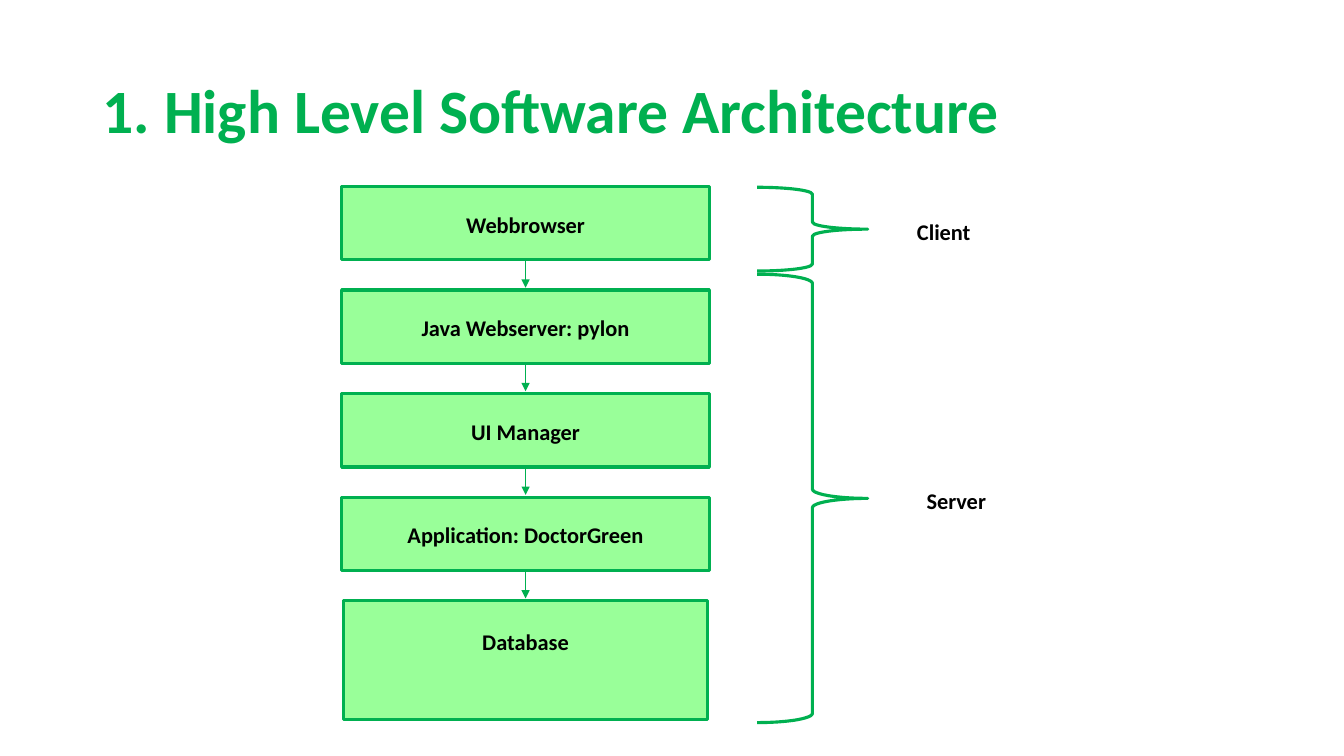
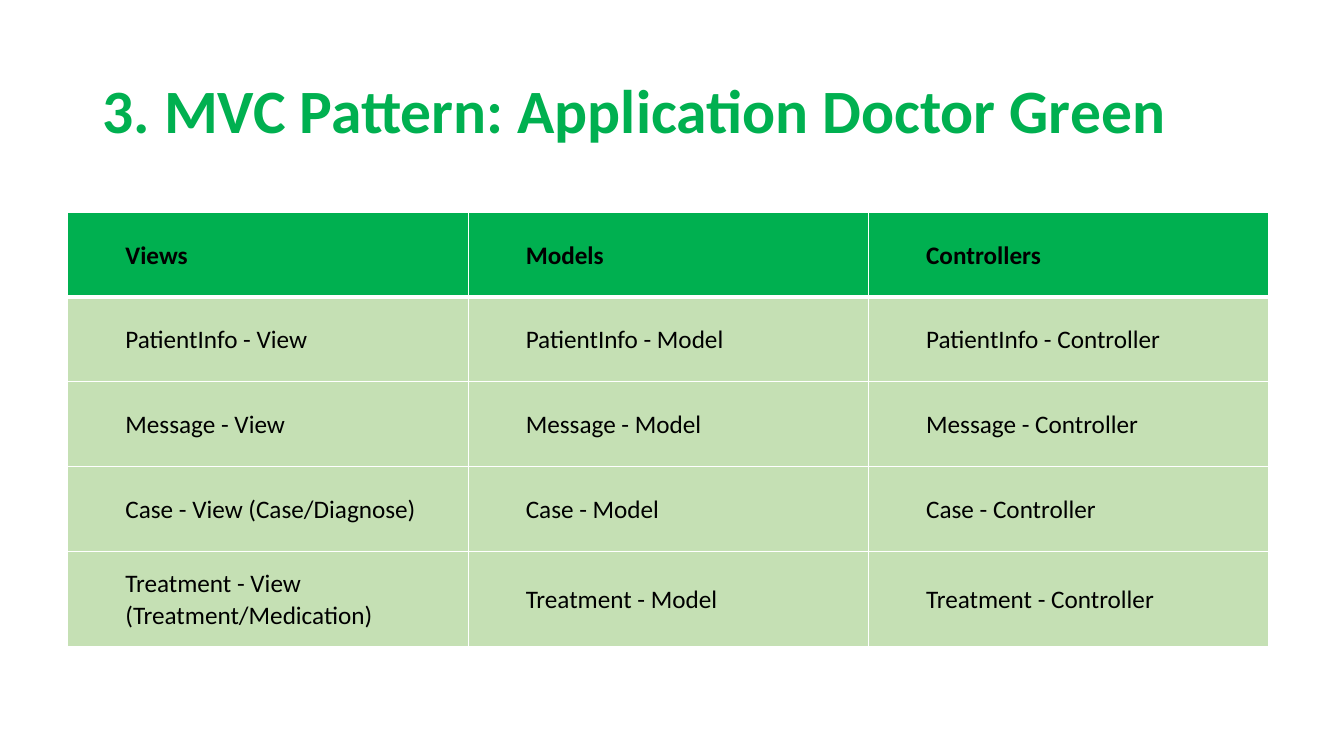
import pptx
import pptx.util
import pptx.dml.color
import pptx.enum.dml
import pptx.enum.shapes
import pptx.enum.text
import pptx.oxml
import pptx.oxml.ns
from collections import namedtuple
from lxml import etree

Cm = pptx.util.Cm
Pt = pptx.util.Pt
Shape = pptx.enum.shapes.MSO_SHAPE
Align = pptx.enum.text.PP_ALIGN
Middle = pptx.enum.text.MSO_ANCHOR.MIDDLE
Box = namedtuple("Box", "left top width height")

COLORS = {"green": "00B050", "light": "99FF99", "pale": "C5E0B4",
          "black": "000000", "white": "FFFFFF"}
FONT = "Calibri"
TITLE_BOX = Box(2.33, 1.01, 29.21, 3.68)
LINE_SPACING = 1.07


def color(name):
    return pptx.dml.color.RGBColor.from_string(COLORS[name])


def lengths(box):
    return [Cm(value) for value in box]


def add_span(para, text, size, name="black", bold=True):
    span = para.add_run()
    span.text = text
    span.font.name = FONT
    span.font.size = Pt(size)
    span.font.bold = bold
    span.font.color.rgb = color(name)


def add_page(deck, title):
    page = deck.slides.add_slide(deck.slide_layouts[5])
    holder = page.shapes.title
    holder.left, holder.top, holder.width, holder.height = lengths(TITLE_BOX)
    frame = holder.text_frame
    frame.word_wrap = True
    frame.auto_size = pptx.enum.text.MSO_AUTO_SIZE.NONE
    frame.vertical_anchor = Middle
    para = frame.paragraphs[0]
    para.alignment = Align.LEFT
    para.line_spacing = 0.9
    add_span(para, title, 44, "green")
    return page


def add_centred_text(shape, text):
    frame = shape.text_frame
    frame.word_wrap = True
    frame.vertical_anchor = Middle
    para = frame.paragraphs[0]
    para.alignment = Align.CENTER
    para.line_spacing = LINE_SPACING
    para.space_after = Pt(8)
    add_span(para, text, 16)


def add_outlined(shapes, kind, box, fill=None):
    shape = shapes.add_shape(kind, *lengths(box))
    shape.shadow.inherit = False
    if fill:
        shape.fill.solid()
        shape.fill.fore_color.rgb = color(fill)
    else:
        shape.fill.background()
    shape.line.color.rgb = color("green")
    shape.line.width = Pt(2.25)
    return shape


def add_arrow(shapes, x, top, bottom):
    arrow = shapes.add_connector(pptx.enum.shapes.MSO_CONNECTOR.STRAIGHT,
                                 Cm(x), Cm(top), Cm(x), Cm(bottom))
    arrow.line.color.rgb = color("green")
    arrow.line.width = Pt(1)
    etree.SubElement(arrow.line._get_or_add_ln(),
                     pptx.oxml.ns.qn("a:tailEnd"), type="triangle")
    etree.SubElement(arrow._element.spPr, pptx.oxml.ns.qn("a:effectLst"))


def add_layers(shapes, box, names):
    layer_height, last_height, inset = 1.85, 3, 0.04
    pitch = (box.height - last_height) / (len(names) - 1)
    for index, name in enumerate(names):
        top = box.top + index * pitch
        if index < len(names) - 1:
            place = Box(box.left, top, box.width, layer_height)
            add_arrow(shapes, box.left + box.width / 2,
                      top + layer_height, top + pitch - 0.06)
        else:
            place = Box(box.left + inset, top, box.width - 2 * inset, last_height)
        layer = add_outlined(shapes, Shape.RECTANGLE, place, "light")
        add_centred_text(layer, name)
    layer.text_frame.margin_bottom = Cm(1.14)


def add_side(shapes, box, name, label_width):
    brace_width, label_left, label_height = 2.79, 3.32, 1.85
    add_outlined(shapes, Shape.RIGHT_BRACE, box._replace(width=brace_width))
    label_top = box.top + (box.height - label_height) / 2 + 0.04
    label = shapes.add_textbox(*lengths(
        Box(box.left + label_left, label_top, label_width, label_height)))
    add_centred_text(label, name)


def add_architecture(page, box):
    shapes = page.shapes.add_group_shape().shapes
    add_layers(shapes, box._replace(width=9.27),
               ["Webbrowser", "Java Webserver: pylon", "UI Manager",
                "Application: DoctorGreen", "Database"])
    side = Box(box.left + 10.47, box.top + 0.02, box.width - 10.47, 2.11)
    add_side(shapes, side, "Client", 2.77)
    server_top = box.top + 2.21
    add_side(shapes, side._replace(top=server_top, height=11.3), "Server", 3.4)


def add_border(cell, side, points):
    cell._tc.get_or_add_tcPr().append(pptx.oxml.parse_xml(
        f'<a:ln{side} {pptx.oxml.ns.nsdecls("a")} w="{Pt(points)}"><a:solidFill>'
        f'<a:srgbClr val="{COLORS["white"]}"/></a:solidFill></a:ln{side}>'))


def format_cell(cell, text, row):
    header = row == 0
    borders = {"L": 1, "R": 1, "T": 3 if row == 1 else 1, "B": 3 if header else 1}
    for side, points in borders.items():
        add_border(cell, side, points)
    cell.fill.solid()
    cell.fill.fore_color.rgb = color("green" if header else "pale")
    cell.vertical_anchor = Middle
    cell.margin_left = cell.margin_right = Cm(0.18)
    cell.margin_top = cell.margin_bottom = 0
    para = cell.text_frame.paragraphs[0]
    para.line_spacing = LINE_SPACING
    para._p.get_or_add_pPr().set("marL", str(Cm(1.27)))
    add_span(para, text, 18, bold=header)


def add_pattern_table(page, box, rows):
    last_height = 2.4
    table = page.shapes.add_table(len(rows), len(rows[0]), *lengths(box)).table
    table.horz_banding = False
    for column in table.columns:
        column.width = Cm(box.width / len(rows[0]))
    for row, texts in enumerate(rows):
        table.rows[row].height = Cm((box.height - last_height) / (len(rows) - 1))
        for column, text in enumerate(texts):
            format_cell(table.cell(row, column), text, row)
    table.rows[len(rows) - 1].height = Cm(last_height)


deck = pptx.Presentation()
deck.slide_width, deck.slide_height = Cm(33.87), Cm(19.05)

architecture = add_page(deck, "1. High Level Software Architecture")
add_architecture(architecture, Box(8.61, 4.7, 17.3, 13.44))

pattern = add_page(deck, "3. MVC Pattern: Application Doctor Green")
view_notes = {"PatientInfo": "", "Message": "", "Case": " (Case/Diagnose)",
              "Treatment": " (Treatment/Medication)"}
pattern_rows = [["Views", "Models", "Controllers"]]
for topic, note in view_notes.items():
    pattern_rows.append([f"{topic} - View{note}", f"{topic} - Model",
                         f"{topic} - Controller"])
add_pattern_table(pattern, Box(1.71, 5.34, 30.27, 10.95), pattern_rows)

deck.save("out.pptx")
